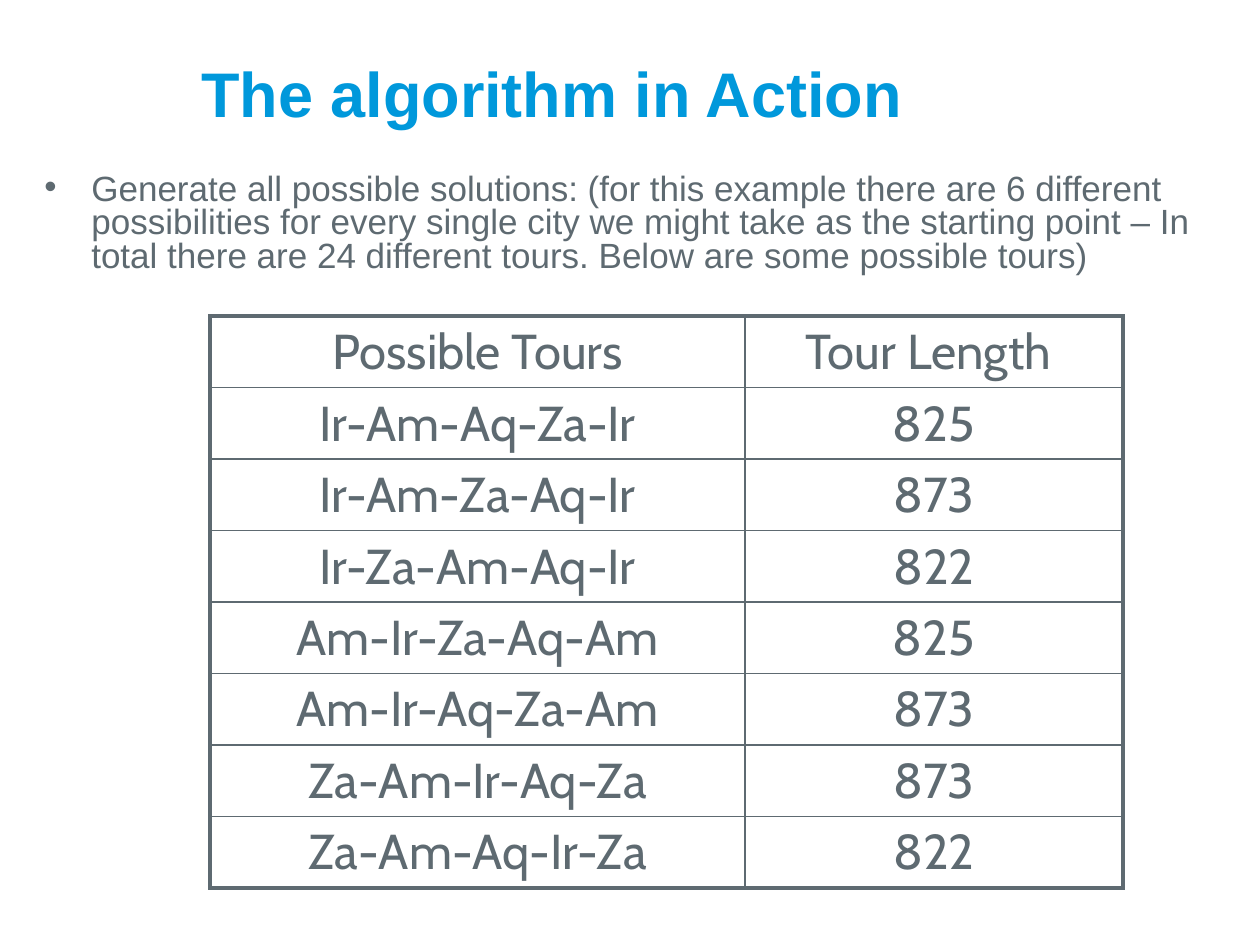
from typing import NamedTuple

from lxml.etree import SubElement
from pptx import Presentation
from pptx.dml.color import RGBColor
from pptx.enum.text import MSO_ANCHOR as Anchor, PP_ALIGN as Align
from pptx.oxml.ns import qn
from pptx.util import Emu, Pt

PX = 914400 // 126
COLORS = {"title": "0098DB", "text": "5E6A71"}
THIN, THICK = 1, 2.25


class Box(NamedTuple):
    left: int
    top: int
    width: int
    height: int

    def emu(self) -> list[Emu]:
        return [px(length) for length in self]


class Tour(NamedTuple):
    route: str
    length: str


HEADER = Tour("Possible Tours", "Tour Length ")
TOURS = [
    Tour("Ir-Am-Aq-Za-Ir", "825"),
    Tour("Ir-Am-Za-Aq-Ir", "873"),
    Tour("Ir-Za-Am-Aq-Ir", "822"),
    Tour("Am-Ir-Za-Aq-Am", "825"),
    Tour("Am-Ir-Aq-Za-Am", "873"),
    Tour("Za-Am-Ir-Aq-Za", "873"),
    Tour("Za-Am-Aq-Ir-Za", "822"),
]
COLUMN_WIDTHS = (535, 378)
ROW_HEIGHT = 71


def px(length: int) -> Emu:
    return Emu(length * PX)


def set_font(para, name: str, size: int, color: str, bold: bool = False) -> None:
    font = para.font
    font.name, font.size, font.bold = name, Pt(size), bold
    font.color.rgb = RGBColor.from_string(COLORS[color])


def add_text(page, box: Box, text: str, anchor: Anchor):
    frame = page.shapes.add_textbox(*box.emu()).text_frame
    frame.word_wrap = True
    frame.vertical_anchor = anchor
    para = frame.paragraphs[0]
    para.text = text
    return para


def add_bullet(para, indent: int) -> None:
    """Give the paragraph a round bullet with a hanging indent."""
    props = para._p.get_or_add_pPr()
    props.set("marL", str(px(indent)))
    props.set("indent", str(-px(indent)))
    SubElement(props, qn("a:buFont"), typeface="Arial")
    SubElement(props, qn("a:buChar"), char="•")


def set_borders(cell, widths: dict[str, float]) -> None:
    props = cell._tc.get_or_add_tcPr()
    for side, width in widths.items():
        line = SubElement(props, qn(f"a:ln{side}"), w=str(Pt(width)))
        fill = SubElement(line, qn("a:solidFill"))
        SubElement(fill, qn("a:srgbClr"), val=COLORS["text"])


def add_tour_table(page, left: int, top: int, tours: list[Tour]) -> None:
    last_row, last_column = len(tours) - 1, len(COLUMN_WIDTHS) - 1
    box = Box(left, top, sum(COLUMN_WIDTHS), ROW_HEIGHT * len(tours))
    table = page.shapes.add_table(len(tours), len(COLUMN_WIDTHS), *box.emu()).table
    table.first_row = table.horz_banding = False
    for column, width in zip(table.columns, COLUMN_WIDTHS):
        column.width = px(width)
    for r, tour in enumerate(tours):
        for c, text in enumerate(tour):
            cell = table.cell(r, c)
            set_borders(cell, {
                "L": THICK if c == 0 else THIN,
                "R": THICK if c == last_column else THIN,
                "T": THICK if r == 0 else THIN,
                "B": THICK if r == last_row else THIN,
            })
            cell.fill.background()
            para = cell.text_frame.paragraphs[0]
            para.text = text
            para.alignment = Align.CENTER
            set_font(para, "Cabin", 28, "text")


def main() -> None:
    deck = Presentation()
    deck.slide_width, deck.slide_height = px(1260), px(945)
    page = deck.slides.add_slide(deck.slide_layouts[6])

    title = add_text(page, Box(189, 63, 1008, 73), "The algorithm in Action", Anchor.BOTTOM)
    set_font(title, "Arial", 36, "title", bold=True)

    body = add_text(
        page, Box(32, 168, 1176, 126),
        "Generate all possible solutions: (for this example there are 6 different "
        "possibilities for every single city we might take as the starting point – "
        "In total there are 24 different tours. Below are some possible tours)",
        Anchor.TOP,
    )
    body.line_spacing = 0.8
    add_bullet(body, 47)
    set_font(body, "Arial", 20, "text")

    add_tour_table(page, 210, 316, [HEADER, *TOURS])
    deck.save("out.pptx")


if __name__ == "__main__":
    main()
